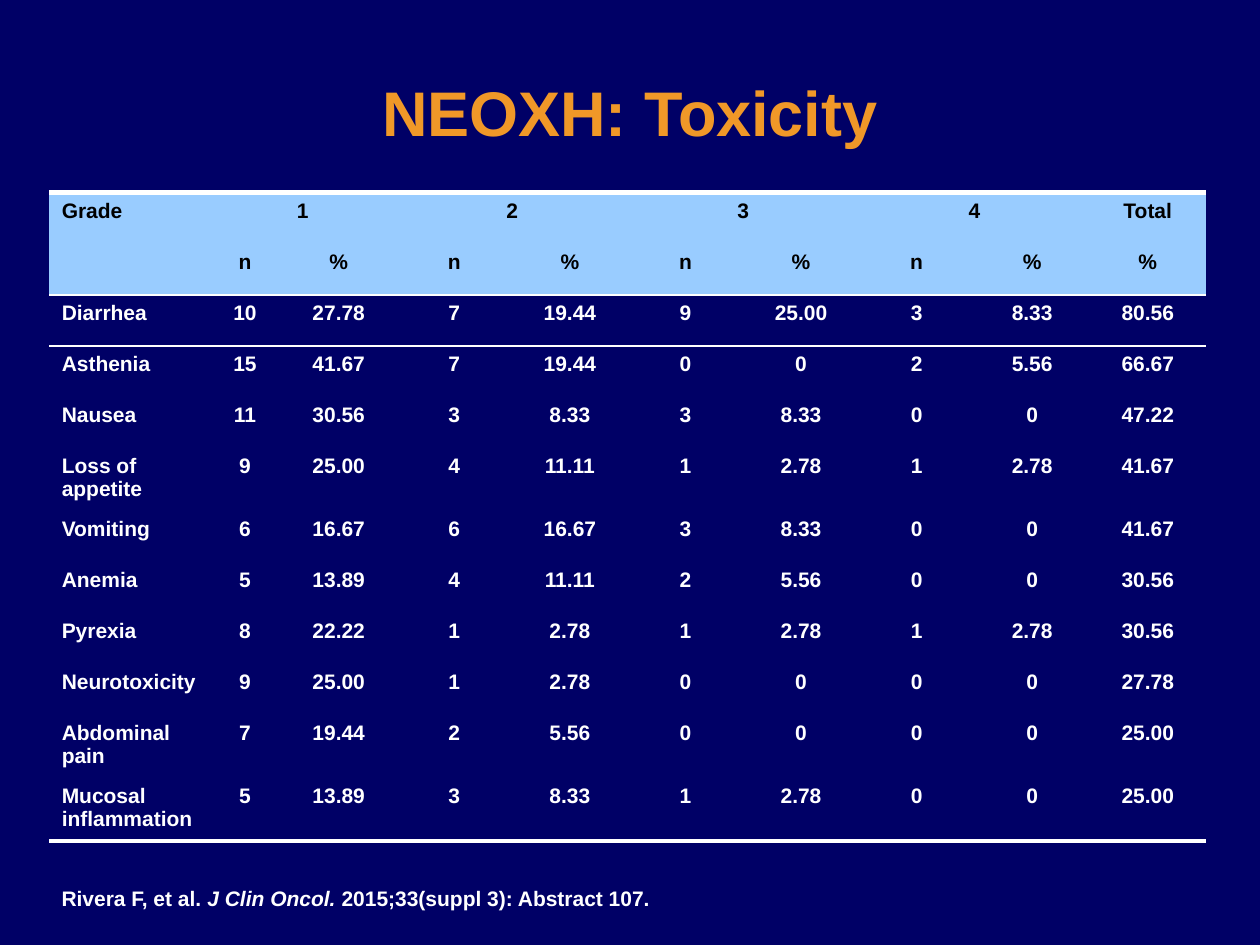
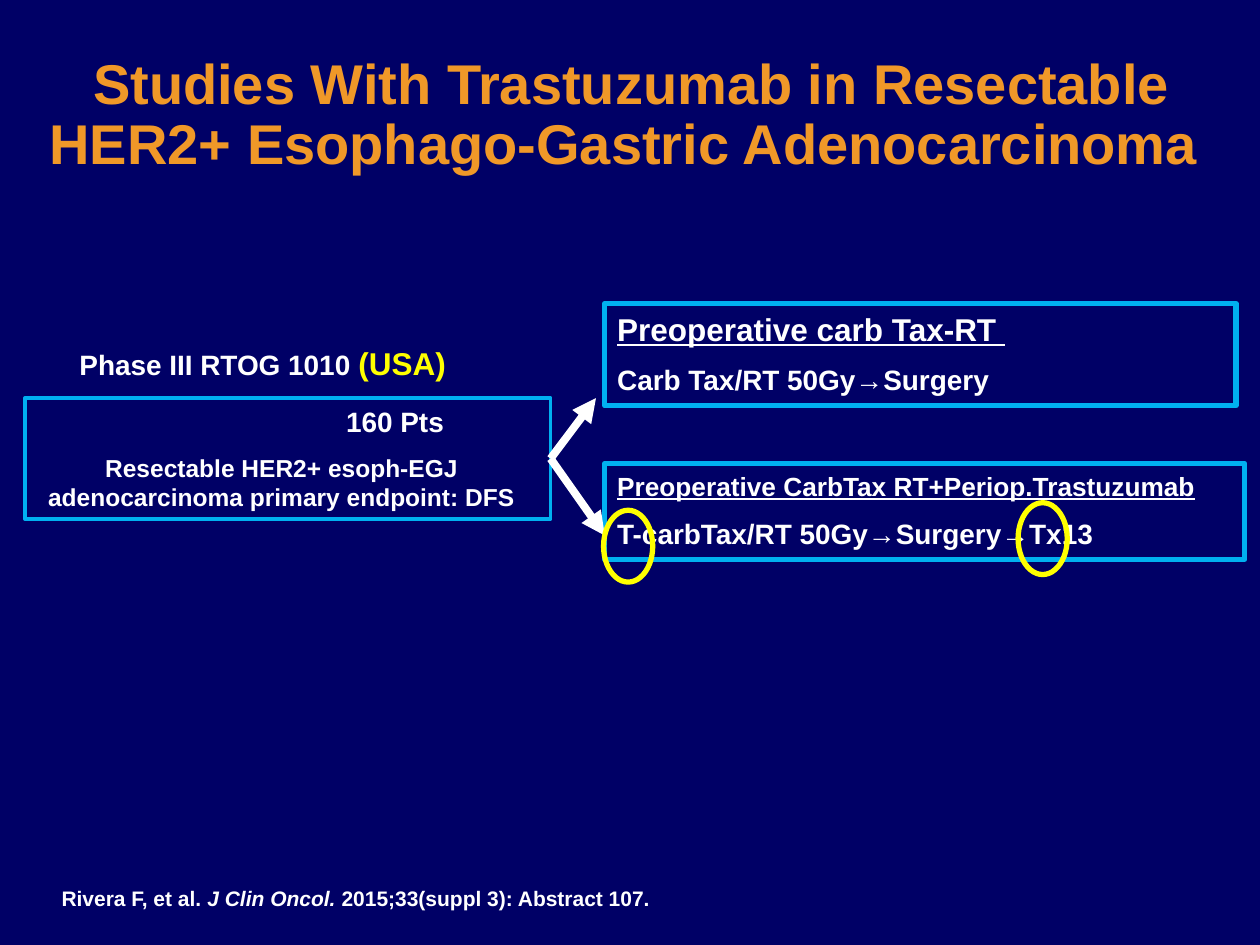
from lxml import etree
from pptx import Presentation
from pptx.dml.color import RGBColor
from pptx.enum.shapes import MSO_CONNECTOR, MSO_SHAPE
from pptx.enum.text import MSO_ANCHOR, PP_ALIGN
from pptx.oxml import parse_xml
from pptx.oxml.ns import qn
from pptx.util import Inches, Pt

RECT, OVAL = MSO_SHAPE.RECTANGLE, MSO_SHAPE.OVAL
LINE = MSO_CONNECTOR.STRAIGHT
LEFT, MID = PP_ALIGN.LEFT, PP_ALIGN.CENTER
TOP, MIDDLE = MSO_ANCHOR.TOP, MSO_ANCHOR.MIDDLE
RIGHT_SIDE = 3

NS = 'xmlns:a="http://schemas.openxmlformats.org/drawingml/2006/main"'
PLAIN_GRID = "{2D5ABB26-0587-4C30-8999-92F81FD0307C}"
FONT = "Arial"
HUES = {
    "navy": "000066", "gold": "F09828", "white": "FFFFFF", "black": "000000",
    "sky": "99CCFF", "cyan": "00B0F0", "yellow": "FFFF00",
}
COLS, ROWS = 100, 75  # slide grid

ARMS = ["1", "2", "3", "4"]
EVENTS = [
    ("Diarrhea", "10 27.78 7 19.44 9 25.00 3 8.33 80.56"),
    ("Asthenia", "15 41.67 7 19.44 0 0 2 5.56 66.67"),
    ("Nausea", "11 30.56 3 8.33 3 8.33 0 0 47.22"),
    ("Loss of appetite", "9 25.00 4 11.11 1 2.78 1 2.78 41.67"),
    ("Vomiting", "6 16.67 6 16.67 3 8.33 0 0 41.67"),
    ("Anemia", "5 13.89 4 11.11 2 5.56 0 0 30.56"),
    ("Pyrexia", "8 22.22 1 2.78 1 2.78 1 2.78 30.56"),
    ("Neurotoxicity", "9 25.00 1 2.78 0 0 0 0 27.78"),
    ("Abdominal pain", "7 19.44 2 5.56 0 0 0 0 25.00"),
    ("Mucosal inflammation", "5 13.89 3 8.33 1 2.78 0 0 25.00"),
]
CITE = [("Rivera F, et al. ", {}), ("J Clin Oncol. ", {"italic": True}),
        ("2015;33(suppl 3): Abstract 107.", {})]


def hue(name):
    return RGBColor.from_string(HUES[name])


class Deck:
    def __init__(self):
        self.prs = Presentation()
        self.prs.slide_width, self.prs.slide_height = Inches(10), Inches(7.5)
        self.slide = None

    def across(self, cols):
        return round(self.prs.slide_width * cols / COLS)

    def down(self, rows):
        return round(self.prs.slide_height * rows / ROWS)

    def place(self, x, y, w, h):
        return self.across(x), self.down(y), self.across(w), self.down(h)

    def page(self):
        """Start a slide with the shared background and citation."""
        self.slide = self.prs.slides.add_slide(self.prs.slide_layouts[6])
        fill = self.slide.background.fill
        fill.solid()
        fill.fore_color.rgb = hue("navy")
        self.text((3.9, 69.8, 90, 3), [CITE], size=12)

    def add_run(self, para, text, size, color="white", italic=False,
                line=False, shade=False):
        run = para.add_run()
        run.text = text
        font = run.font
        font.name, font.size, font.bold = FONT, Pt(size), True
        font.italic, font.underline = italic, line
        font.color.rgb = hue(color)
        if shade:
            run._r.rPr.find(qn("a:solidFill")).addnext(parse_xml(
                f'<a:effectLst {NS}><a:outerShdw blurRad="38100" dist="38100" '
                'dir="2700000"><a:srgbClr val="000000"/></a:outerShdw>'
                '</a:effectLst>'))

    def put(self, frame, paras, size, align=LEFT, gap=8.5):
        """Fill a frame; each paragraph is a list of (text, style) runs."""
        for i, runs in enumerate(paras):
            para = frame.add_paragraph() if i else frame.paragraphs[0]
            para.alignment = align
            if i:
                para.space_before = Pt(gap)
            for text, style in runs:
                self.add_run(para, text, **{"size": size, **style})

    def text(self, spot, paras, size, align=LEFT, anchor=TOP, wrap=True):
        frame = self.slide.shapes.add_textbox(*self.place(*spot)).text_frame
        frame.word_wrap, frame.vertical_anchor = wrap, anchor
        self.put(frame, paras, size, align)
        return frame

    def title(self, spot, text, size, shade=False):
        style = {"color": "gold", "shade": shade}
        return self.text(spot, [[(text, style)]], size, MID, MIDDLE)

    def outline(self, kind, spot, color, width):
        shape = self.slide.shapes.add_shape(kind, *self.place(*spot))
        shape.shadow.inherit = False
        shape.fill.background()
        shape.line.color.rgb = hue(color)
        shape.line.width = Pt(width)
        return shape

    def box(self, spot, paras, width=3, align=LEFT):
        shape = self.outline(RECT, spot, "cyan", width)
        shape.text_frame.vertical_anchor = TOP
        self.put(shape.text_frame, paras, 16, align)
        return shape

    def arrow(self, start, x, y):
        """Draw an arrow from the right side of a box to a point."""
        tip = self.across(x), self.down(y)
        link = self.slide.shapes.add_connector(LINE, *tip, *tip)
        link.begin_connect(start, RIGHT_SIDE)
        link.line.color.rgb = hue("white")
        link.line.width = Pt(4.5)
        etree.SubElement(link.line._get_or_add_ln(), qn("a:tailEnd"),
                         type="triangle")
        etree.SubElement(link._element.spPr, qn("a:effectLst"))

    def rule(self, cell, side, width):
        """Draw a white border on the top (T) or bottom (B) of a cell."""
        cell._tc.get_or_add_tcPr().insert(0, parse_xml(
            f'<a:ln{side} {NS} w="{Pt(width)}"><a:solidFill>'
            f'<a:srgbClr val="{HUES["white"]}"/></a:solidFill></a:ln{side}>'))

    def table(self, spot, rows, widths, heads, rules):
        """rules maps a row number to the (side, width) of its border."""
        table = self.slide.shapes.add_table(
            len(rows), len(widths), *self.place(*spot)).table
        table.first_row = table.horz_banding = False
        table._tbl.tblPr.find(qn("a:tableStyleId")).text = PLAIN_GRID
        for col, width in zip(table.columns, widths):
            col.width = self.across(width)
        for r, row in enumerate(rows):
            for c, text in enumerate(row):
                cell = table.cell(r, c)
                if r < heads:
                    cell.fill.solid()
                    cell.fill.fore_color.rgb = hue("sky")
                else:
                    cell.fill.background()
                if c == 0:
                    cell.margin_right = Inches(0.05)
                if text:
                    style = {"color": "black" if r < heads else "white"}
                    self.put(cell.text_frame, [[(text, style)]], 12,
                             MID if c else LEFT)
                if r in rules:
                    self.rule(cell, *rules[r])
        return table


def toxicity(deck):
    deck.page()
    deck.title((0, 5.3, 100, 7.1), "NEOXH: Toxicity", 36)
    grades = [text for arm in ARMS for text in (arm, "")]
    rows = [["Grade", *grades, "Total"], ["", *["n", "%"] * len(ARMS), "%"]]
    rows += [[name, *values.split()] for name, values in EVENTS]
    full, label, first = 91.8, 12.7, 5.7
    rest = (full - label - first) / 8
    rules = {0: ("T", 3), 1: ("B", 1), 2: ("T", 1), len(rows) - 1: ("B", 3)}
    table = deck.table((3.9, 15.3, full, 48.6), rows,
                       [label, first] + [rest] * 8, 2, rules)
    for c in range(1, 2 * len(ARMS), 2):
        table.cell(0, c).merge(table.cell(0, c + 1))


def studies(deck):
    deck.page()
    frame = deck.title(
        (2, 3, 96.3, 12.5), "Studies With Trastuzumab in Resectable "
        "HER2+ Esophago-Gastric Adenocarcinoma ", 32, shade=True)
    frame.paragraphs[0].line_spacing = 0.9

    group = deck.box((2, 31.6, 41.7, 9.6), [
        [("160 Pts", {})],
        [("Resectable HER2+ esoph-EGJ adenocarcinoma primary endpoint: DFS",
          {"size": 14})]], 2.25, MID)
    count, goal = group.text_frame.paragraphs
    count._p.get_or_add_pPr().set("marL", str(deck.across(17)))
    goal._p.get_or_add_pPr().set("marR", str(deck.across(1)))

    deck.box((48, 24.1, 50.1, 8.1), [
        [("Preoperative carb Tax-RT ", {"size": 18, "line": True})],
        [("Carb Tax/RT 50Gy→Surgery", {})]])
    deck.arrow(group, 47.3, 31.6)
    deck.text((5.1, 26.8, 31.5, 4), [
        [("Phase III RTOG 1010 ", {}),
         ("(USA)", {"size": 18, "color": "yellow"})]], 16, MID, wrap=False)
    deck.box((48, 36.8, 50.8, 7.6), [
        [("Preoperative CarbTax RT+Periop.Trastuzumab",
          {"size": 15, "line": True})],
        [("T-carbTax/RT 50Gy→Surgery→Tx13", {})]])
    deck.arrow(group, 48, 42.5)
    for x, y in ((47.9, 40.5), (80.8, 39.9)):
        deck.outline(OVAL, (x, y, 3.9, 5.7), "yellow", 3)


def main():
    deck = Deck()
    toxicity(deck)
    studies(deck)
    deck.prs.save("out.pptx")


if __name__ == "__main__":
    main()
